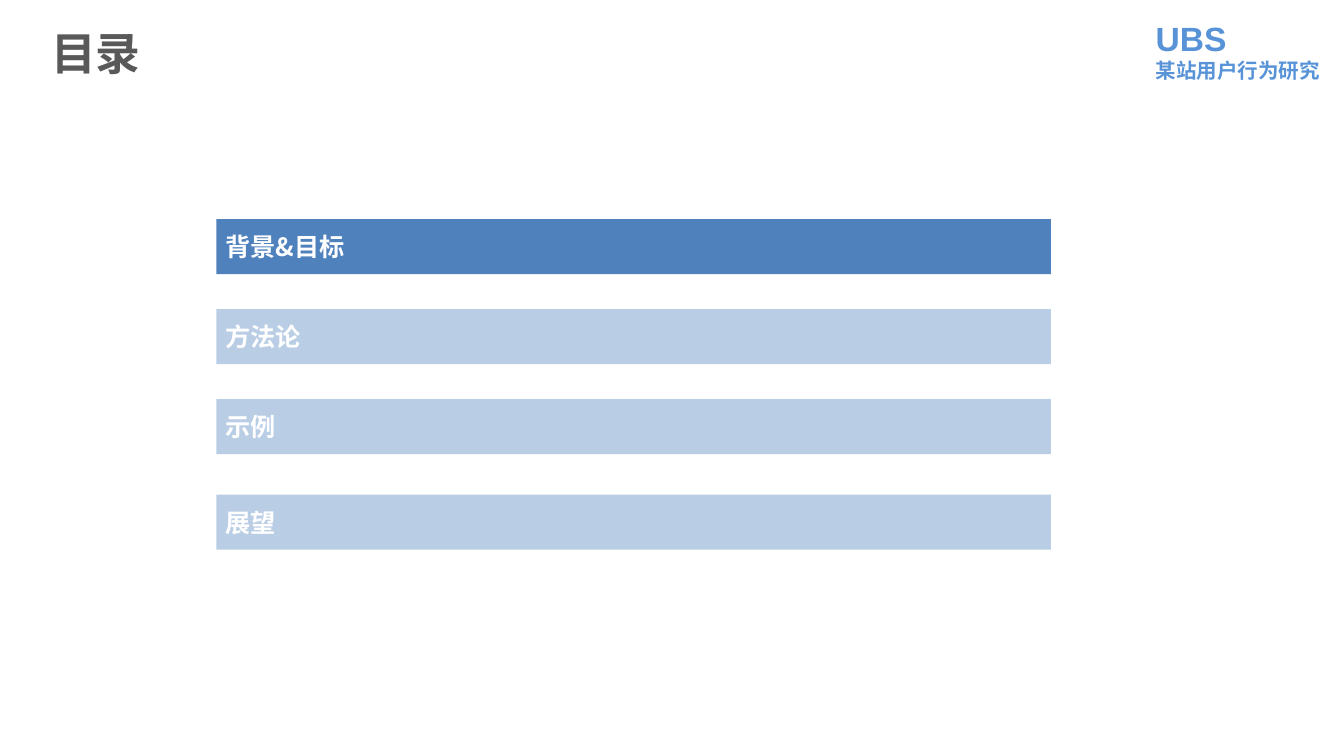
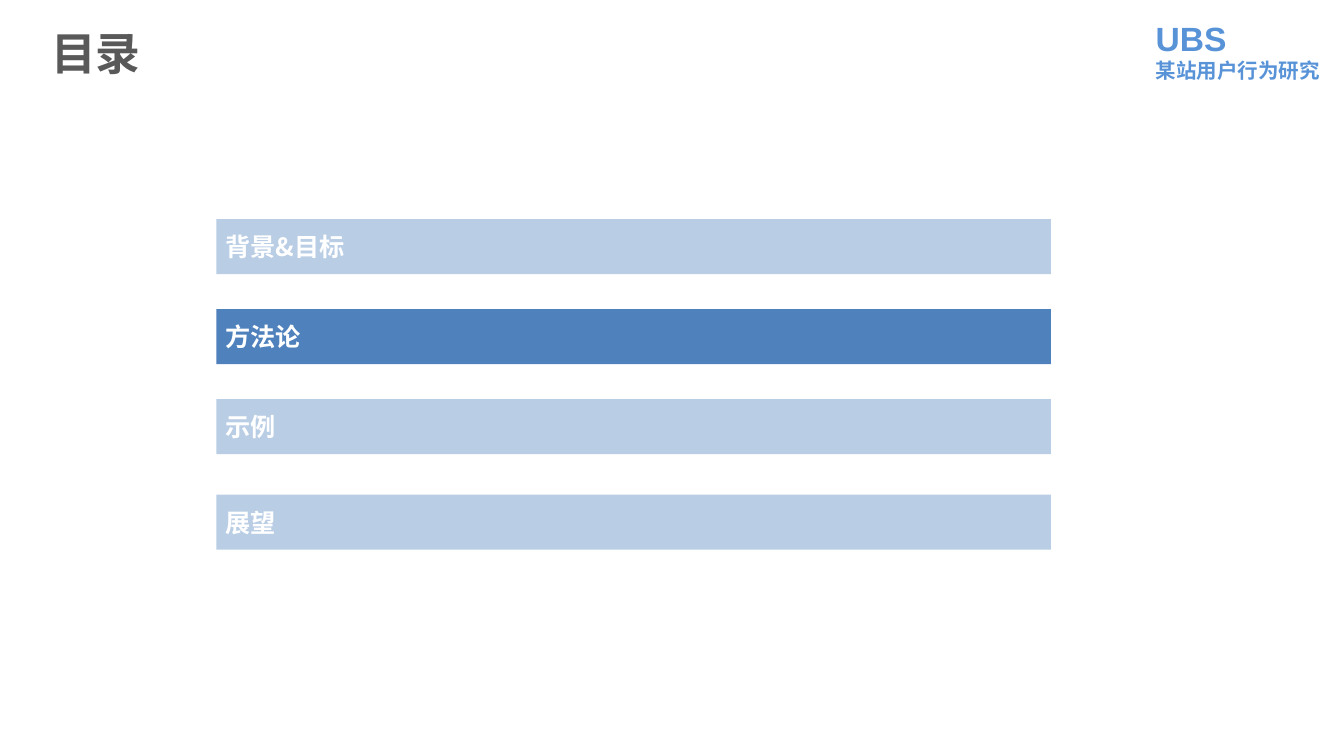
from lxml import etree
from pptx import Presentation
from pptx.dml.color import RGBColor
from pptx.enum.shapes import MSO_SHAPE
from pptx.enum.text import MSO_ANCHOR, MSO_AUTO_SIZE, PP_ALIGN
from pptx.oxml.ns import qn
from pptx.util import Inches, Pt

RECT = MSO_SHAPE.RECTANGLE
TOP, MIDDLE = MSO_ANCHOR.TOP, MSO_ANCHOR.MIDDLE
LEFT = PP_ALIGN.LEFT
NO_AUTOFIT = MSO_AUTO_SIZE.NONE

CJK, LATIN = "Noto Sans CJK SC", "Arial"
GREY, SKY, WHITE = "595959", "5893D8", "FFFFFF"
ACTIVE, INACTIVE = "4F81BD", "B9CDE5"
TITLE_ONLY = 5

# Agenda entries and the top of each bar
AGENDA = [("背景&目标", 1.63), ("方法论", 2.3), ("示例", 2.97), ("展望", 3.68)]


def color(hex_code):
    return RGBColor.from_string(hex_code)


def write(p, text, size, hex_code, font=CJK):
    """Fill a paragraph with bold, left-aligned text."""
    p.text = text
    p.alignment = LEFT
    f = p.font
    f.size, f.bold, f.name = Pt(size), True, font
    f.color.rgb = color(hex_code)
    etree.SubElement(f._element, qn("a:ea"), typeface=font)


def set_frame(tf, anchor, side, edge, wrap=True):
    """Set anchoring, wrapping and margins of a text frame."""
    tf.auto_size = NO_AUTOFIT
    tf.word_wrap = wrap
    tf.vertical_anchor = anchor
    tf.margin_left = tf.margin_right = Inches(side)
    tf.margin_top = tf.margin_bottom = Inches(edge)


def add_department(s):
    box = s.shapes.add_textbox(Inches(8.5), Inches(-0.02), Inches(1.97), Inches(0.79))
    tf = box.text_frame
    set_frame(tf, MIDDLE, 0.1, 0.05)
    write(tf.paragraphs[0], "UBS", 18, SKY, LATIN)
    write(tf.add_paragraph(), "某站用户行为研究", 11, SKY)


def set_title(s, text):
    title = s.shapes.title
    title.left, title.top = Inches(0.28), Inches(0.14)
    title.width, title.height = Inches(9), Inches(0.55)
    set_frame(title.text_frame, TOP, 0.1, 0.05)
    write(title.text_frame.paragraphs[0], text, 24, GREY)


def add_bar(s, text, top, fill):
    sp = s.shapes.add_shape(RECT, Inches(1.61), Inches(top), Inches(6.21), Inches(0.41))
    sp.shadow.inherit = False
    sp.fill.solid()
    sp.fill.fore_color.rgb = color(fill)
    sp.line.fill.background()
    set_frame(sp.text_frame, MIDDLE, 0.07, 0.04, wrap=False)
    write(sp.text_frame.paragraphs[0], text, 13.5, WHITE)


def add_agenda_slide(prs, current):
    """Add the agenda with the current entry highlighted."""
    s = prs.slides.add_slide(prs.slide_layouts[TITLE_ONLY])
    add_department(s)
    set_title(s, "目录")
    for i, (text, top) in enumerate(AGENDA):
        add_bar(s, text, top, ACTIVE if i == current else INACTIVE)


def main():
    prs = Presentation()
    prs.slide_width = Inches(10)
    prs.slide_height = prs.slide_width * 9 // 16
    for current in range(2):
        add_agenda_slide(prs, current)
    prs.save("out.pptx")


if __name__ == "__main__":
    main()
